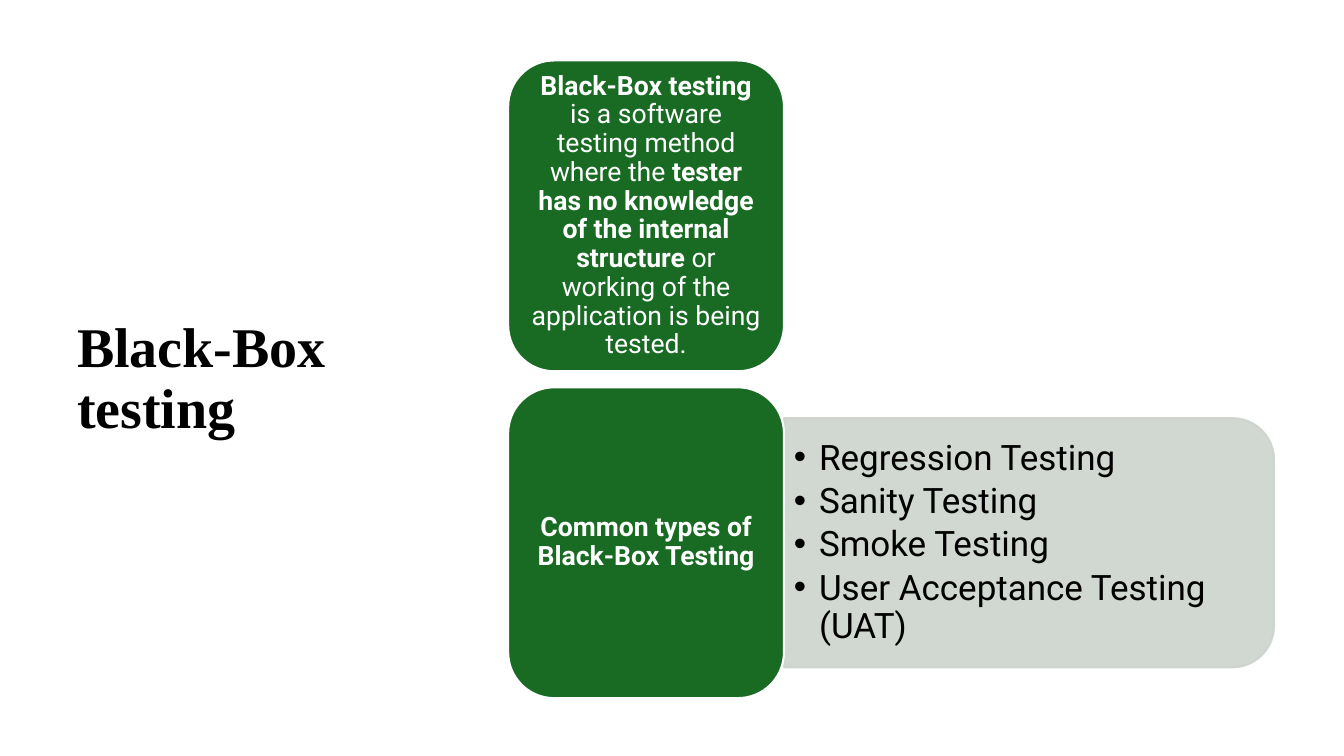
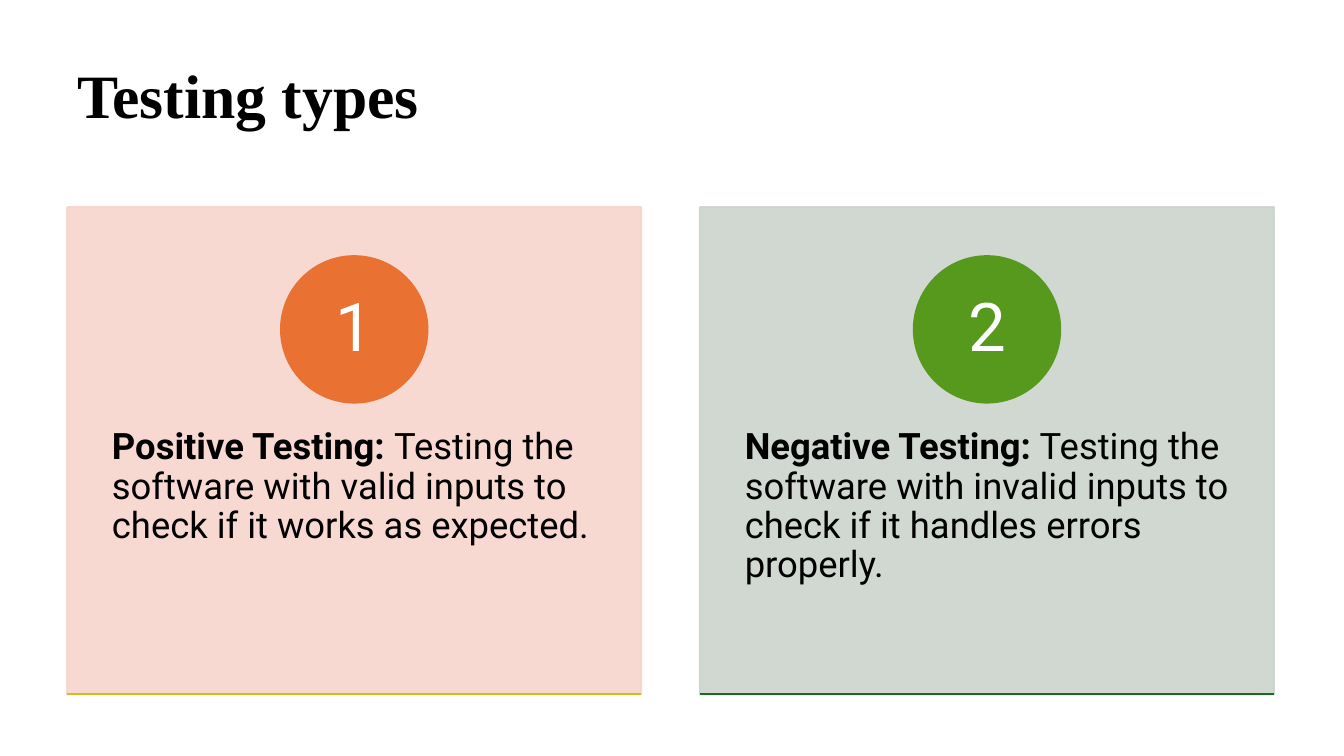
from pptx import Presentation
from pptx.dml.color import RGBColor
from pptx.enum.shapes import MSO_CONNECTOR, MSO_SHAPE as Shape
from pptx.enum.text import MSO_ANCHOR as Anchor, PP_ALIGN as Align
from pptx.oxml.ns import qn
from pptx.util import Pt
from lxml.etree import SubElement

BLACK = RGBColor(0x00, 0x00, 0x00)
WHITE = RGBColor(0xFF, 0xFF, 0xFF)
GREEN = RGBColor(0x19, 0x6B, 0x24)
SAGE = RGBColor(0xCC, 0xD4, 0xCD)
PINK = RGBColor(0xF7, 0xD5, 0xCE)
ORANGE = RGBColor(0xE9, 0x71, 0x32)
LEAF = RGBColor(0x56, 0x99, 0x1D)
MUSTARD = RGBColor(0xCB, 0xC1, 0x1E)

TITLE_FONT, BODY_FONT = "Times New Roman", "Roboto"
SLIDE_W, SLIDE_H = 960, 540
LEFT, RIGHT, TOP = 48, 910, 43.2
LINE = 1.5
TINT = 90

BLOCKS = [
    [("Black-Box testing ", True),
     ("is a software testing method where the ", False),
     ("tester has no knowledge of the internal structure ", True),
     ("or working of the application is being tested.", False)],
    [("Common types of Black-Box Testing", True)],
]
COMMON_TYPES = ["Regression Testing", "Sanity Testing", "Smoke Testing",
                "User Acceptance Testing (UAT)"]
CARDS = [
    ([("Positive Testing: ", True),
      ("Testing the software with valid inputs to check if it works as expected.", False)],
     PINK, ORANGE, MUSTARD),
    ([("Negative Testing:", True),
      (" Testing the software with invalid inputs to check if it handles errors properly.", False)],
     SAGE, LEAF, GREEN),
]


def set_alpha(fill_owner, percent):
    for color in fill_owner.iter(qn("a:srgbClr")):
        SubElement(color, qn("a:alpha"), val=str(percent * 1000))


def add_figure(page, kind, left, top, width, height, fill, line, alpha=None):
    figure = page.shapes.add_shape(kind, Pt(left), Pt(top), Pt(width), Pt(height))
    figure.shadow.inherit = False
    figure.fill.solid()
    figure.fill.fore_color.rgb = fill
    figure.line.color.rgb = line
    figure.line.width = Pt(LINE)
    if alpha:
        set_alpha(figure.element.spPr, alpha)
    return figure


def add_box(page, left, top, width, height):
    return page.shapes.add_textbox(Pt(left), Pt(top), Pt(width), Pt(height))


def write(shape, paragraphs, size, color, font=BODY_FONT, align=Align.LEFT,
          anchor=Anchor.MIDDLE, insets=(7.2, 3.6), bullets=False):
    frame = shape.text_frame
    frame.word_wrap = True
    frame.vertical_anchor = anchor
    frame.margin_left = frame.margin_right = Pt(insets[0])
    frame.margin_top = frame.margin_bottom = Pt(insets[1])
    for index, spans in enumerate(paragraphs):
        para = frame.paragraphs[0] if index == 0 else frame.add_paragraph()
        para.alignment = align
        para.line_spacing = 0.9
        if bullets:
            para.space_after = Pt(4)
            props = para._p.get_or_add_pPr()
            props.set("marL", str(Pt(18)))
            props.set("indent", str(-Pt(18)))
            SubElement(props, qn("a:buFont"), typeface="Arial")
            SubElement(props, qn("a:buChar"), char="•")
        para.font.name = font
        para.font.size = Pt(size)
        para.font.color.rgb = color
        for text, bold in spans:
            span = para.add_run()
            span.text = text
            span.font.bold = bold
    return frame


def add_title(page, text, width, height, size, anchor):
    box = add_box(page, LEFT, TOP, width, height)
    write(box, [[(text, True)]], size, BLACK, TITLE_FONT, anchor=anchor)


def add_rule(page, left, right, y, color):
    rule = page.shapes.add_connector(MSO_CONNECTOR.STRAIGHT, Pt(left), Pt(y), Pt(right), Pt(y))
    rule.line.color.rgb = color
    rule.line.width = Pt(LINE)
    SubElement(rule.element.spPr, qn("a:effectLst"))


def build_black_box(page):
    add_title(page, "Black-Box testing", 275, 456, 40, Anchor.MIDDLE)
    left, width, height, gap = 363, 197, 222, 11.5
    bar_left, bar_height = left + width, 178
    bar_width = RIGHT - bar_left
    last_top = TOP + (len(BLOCKS) - 1) * (height + gap)
    middle = last_top + height / 2

    bar = add_figure(page, Shape.ROUND_2_SAME_RECTANGLE,
                     bar_left + (bar_width - bar_height) / 2, middle - bar_width / 2,
                     bar_height, bar_width, SAGE, SAGE, TINT)
    bar.rotation = 90
    box = add_box(page, bar_left, middle - 80, bar_width - 9, 160)
    write(box, [[(name, False)] for name in COMMON_TYPES], 25, BLACK, bullets=True)

    for index, spans in enumerate(BLOCKS):
        block = add_figure(page, Shape.ROUNDED_RECTANGLE, left, TOP + index * (height + gap),
                           width, height, GREEN, WHITE)
        write(block, [spans], 19, WHITE, align=Align.CENTER, insets=(5.7, 2.9))


def build_testing_types(page):
    add_title(page, "Testing types", RIGHT - LEFT, 89, 44, Anchor.TOP)
    top, height, gap, diameter = 148, 348, 42, 104.5
    width = (RIGHT - LEFT - gap * (len(CARDS) - 1)) / len(CARDS)
    for index, (spans, tint, accent, edge) in enumerate(CARDS):
        left = LEFT + index * (width + gap)
        card = add_figure(page, Shape.RECTANGLE, left, top, width, height, tint, tint, TINT)
        frame = write(card, [spans], 26, BLACK, anchor=Anchor.TOP, insets=(32, 26))
        frame.margin_top = Pt(158)
        badge = add_figure(page, Shape.OVAL, left + (width - diameter) / 2, top + 35,
                           diameter, diameter, accent, accent)
        write(badge, [[(str(index + 1), False)]], 48, WHITE, align=Align.CENTER,
              insets=(8, 0.9))
        add_rule(page, left, left + width, top + height - 0.5, edge)


def main():
    deck = Presentation()
    deck.slide_width, deck.slide_height = Pt(SLIDE_W), Pt(SLIDE_H)
    for build in (build_black_box, build_testing_types):
        build(deck.slides.add_slide(deck.slide_layouts[6]))
    deck.save("out.pptx")


if __name__ == "__main__":
    main()
